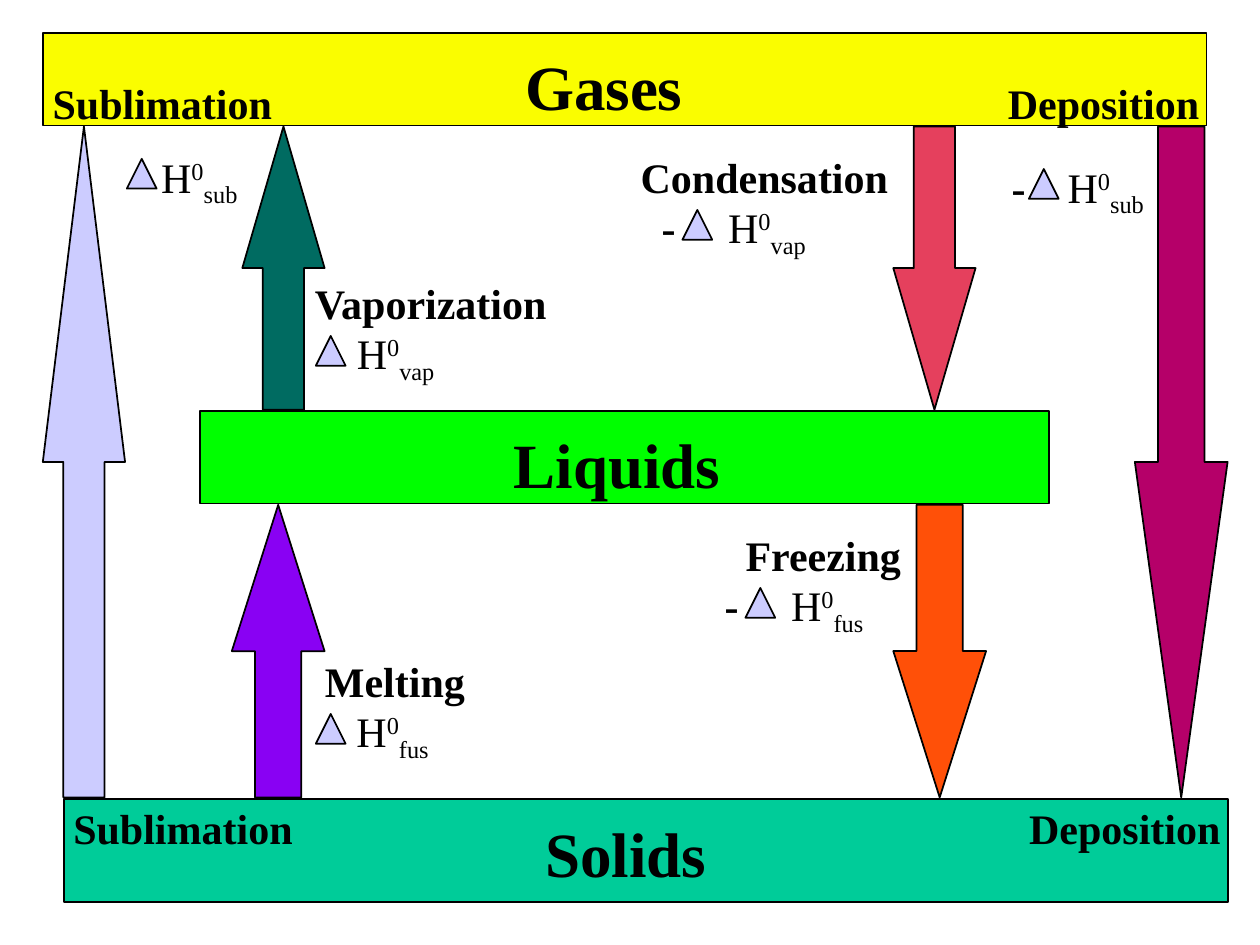
from dataclasses import dataclass
from pptx import Presentation
from pptx import util as u
from pptx.dml.color import RGBColor
from pptx.enum import shapes, text


@dataclass(frozen=True)
class Theme:
    font: str = "Times New Roman"
    title_size: int = 36
    label_size: int = 24
    ink: str = "000000"
    gases: str = "FAFD00"
    liquids: str = "00FF00"
    solids: str = "00CC99"
    melting: str = "8901F3"
    vaporization: str = "006B61"
    condensation: str = "E5405D"
    freezing: str = "FF5008"
    sublimation: str = "CCCCFF"
    deposition: str = "B50069"
    delta: str = "CCCCFF"


class PhaseDiagram:
    """Draws phase bars, transition arrows and enthalpy labels on one slide."""

    def __init__(self, slide, theme):
        self.slide = slide
        self.theme = theme

    def shape(self, kind, left, top, width, height, fill):
        shape = self.slide.shapes.add_shape(
            kind, u.Pt(left), u.Pt(top), u.Pt(width), u.Pt(height))
        shape.shadow.inherit = False
        shape.fill.solid()
        shape.fill.fore_color.rgb = RGBColor.from_string(fill)
        shape.line.color.rgb = RGBColor.from_string(self.theme.ink)
        shape.line.width = u.Pt(1)
        return shape

    def bar(self, left, top, width, height, fill):
        self.shape(shapes.MSO_SHAPE.RECTANGLE, left, top, width, height, fill)
        return top, top + height

    def arrow(self, kind, center, top, bottom, width, fill):
        height = bottom - top
        arrow = self.shape(kind, center - width / 2, top, width, height, fill)
        arrow.adjustments[0] = 0.5
        arrow.adjustments[1] = height / width / 2

    def delta(self, left, top):
        self.shape(shapes.MSO_SHAPE.ISOSCELES_TRIANGLE, left, top, 17, 17, self.theme.delta)

    def box(self, left, top, width, height):
        box = self.slide.shapes.add_textbox(u.Pt(left), u.Pt(top), u.Pt(width), u.Pt(height))
        frame = box.text_frame
        frame.word_wrap = True
        frame.auto_size = text.MSO_AUTO_SIZE.SHAPE_TO_FIT_TEXT
        return frame

    def run(self, paragraph, words, size, bold=True, baseline=0):
        run = paragraph.add_run()
        run.text = words
        formats = {"name": self.theme.font, "size": u.Pt(size), "bold": bold}
        for name, value in formats.items():
            setattr(run.font, name, value)
        run.font.color.rgb = RGBColor.from_string(self.theme.ink)
        if baseline:
            run.font._element.set("baseline", str(baseline * 1000))

    def indent(self, paragraph, margin, first=0):
        properties = paragraph._p.get_or_add_pPr()
        properties.set("marL", str(u.Pt(margin)))
        properties.set("indent", str(u.Pt(first)))

    def title(self, left, top, width, words, size):
        frame = self.box(left, top, width, size * 1.2 + 7.2)
        self.run(frame.paragraphs[0], words, size)

    def enthalpy(self, left, top, width, kind, delta_left, symbol_at=0,
                 name="", name_at=0, sign="", sign_at=0):
        frame = self.box(left, top, width, 68 if name else 40)
        paragraph = frame.paragraphs[0]
        size = self.theme.label_size
        if name:
            self.indent(paragraph, name_at)
            self.run(paragraph, name, size)
            paragraph = frame.add_paragraph()
        if sign:
            self.indent(paragraph, symbol_at, sign_at - symbol_at)
            self.run(paragraph, sign + "\t", size)
        else:
            self.indent(paragraph, symbol_at)
        for words, baseline in (("H", 0), ("0", 30), (kind, -25)):
            self.run(paragraph, words, size, False, baseline)
        self.delta(delta_left, top + (37.2 if name else 8))


def main():
    presentation = Presentation()
    presentation.slide_width, presentation.slide_height = u.Pt(720), u.Pt(540)
    slide = presentation.slides.add_slide(presentation.slide_layouts[6])
    theme = Theme()
    diagram = PhaseDiagram(slide, theme)

    _, gases_bottom = diagram.bar(24.5, 18.7, 665, 53, theme.gases)
    liquids_top, liquids_bottom = diagram.bar(114.5, 234.7, 485, 53, theme.liquids)
    solids_top, _ = diagram.bar(36.7, 456.5, 665, 59, theme.solids)

    for left, top, width, words in (
            (293, 23.8, 106, "Gases"), (286.5, 239.8, 134, "Liquids"), (304.5, 462.2, 108, "Solids")):
        diagram.title(left, top, width, words, theme.title_size)

    up, down = shapes.MSO_SHAPE.UP_ARROW, shapes.MSO_SHAPE.DOWN_ARROW
    upper = gases_bottom + 0.6, liquids_top - 0.6
    lower = liquids_bottom + 0.8, solids_top - 0.8
    full = gases_bottom + 0.6, solids_top - 0.8
    for kind, center, span, width, fill in (
            (up, 159, lower, 53, theme.melting),
            (up, 162, upper, 47, theme.vaporization),
            (down, 534, upper, 47, theme.condensation),
            (down, 537, lower, 53, theme.freezing),
            (up, 48, full, 47, theme.sublimation),
            (down, 675, full, 53, theme.deposition)):
        diagram.arrow(kind, center, *span, width, fill)

    for left, top, width, words in (
            (23, 41, 142, "Sublimation"), (568.8, 41, 126, "Deposition"),
            (581, 455, 126, "Deposition"), (34.8, 455, 142, "Sublimation")):
        diagram.title(left, top, width, words, theme.label_size)

    diagram.enthalpy(359, 82.8, 158, "vap", 390, 50, "Condensation", 0, "-", 12)
    diagram.enthalpy(172.8, 154.8, 150, "vap", 180.5, 24, "Vaporization")
    diagram.enthalpy(407, 298.8, 116, "fus", 426, 38, "Freezing", 12, "-")
    diagram.enthalpy(178.6, 370.8, 96, "fus", 180.5, 18, "Melting")
    diagram.enthalpy(571, 88.6, 92, "sub", 588, 32, sign="-")
    diagram.enthalpy(85, 82.8, 60, "sub", 72.5)
    presentation.save("out.pptx")


if __name__ == "__main__":
    main()
